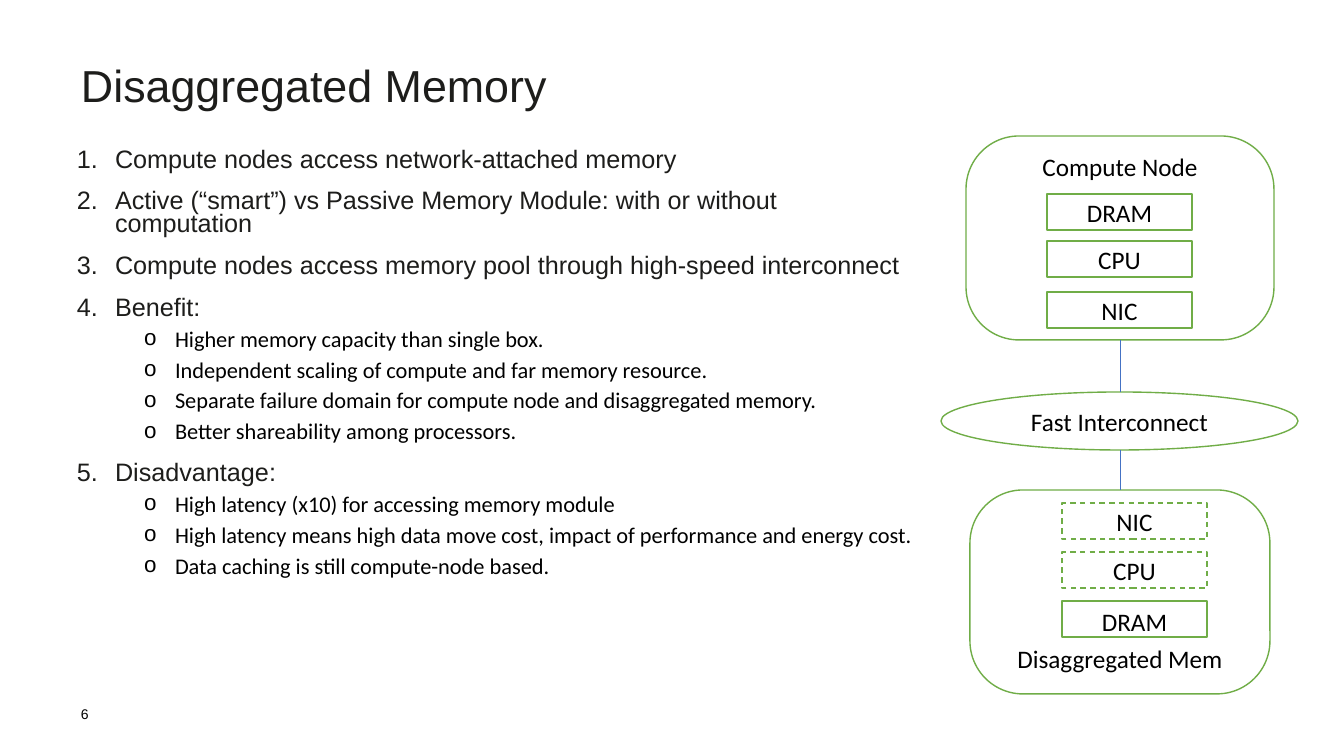
from lxml.etree import SubElement
from pptx import Presentation
from pptx.dml.color import RGBColor
from pptx.enum.dml import MSO_LINE_DASH_STYLE as Dash
from pptx.enum.shapes import MSO_CONNECTOR as Connector, MSO_SHAPE as Shape
from pptx.enum.text import MSO_ANCHOR as Anchor, PP_ALIGN as Align
from pptx.oxml.ns import qn
from pptx.util import Pt

SCALE = 914400 / 100.8
INK, BLACK, WHITE, GREEN, BLUE = "1D1D1B", "000000", "FFFFFF", "70AD47", "4472C4"


def px(length):
    """Turn pixels into EMU."""
    return round(length * SCALE)


def rgb(value):
    """Turn a hex string into a colour."""
    return RGBColor.from_string(value)


def apply(target, values):
    """Set each attribute of a dict of format values."""
    for name, value in values.items():
        setattr(target, name, value)


class Sketch:
    """Hold the style and the current slide."""

    fonts = {
        "title": ({"name": "Arial", "size": Pt(32)}, INK),
        "point": ({"name": "Arial", "size": Pt(18)}, INK),
        "detail": ({"name": "Calibri", "size": Pt(16)}, BLACK),
        "label": ({"name": "Calibri", "size": Pt(18)}, BLACK),
        "number": ({"name": "Arial", "size": Pt(10)}, BLACK),
    }
    lists = {
        "point": ({"level": 0, "line_spacing": 0.76, "space_before": Pt(13.3)},
                  {"marL": 72, "indent": -38}, ("a:buAutoNum", {"type": "arabicPeriod"})),
        "detail": ({"level": 1, "line_spacing": 0.8, "space_before": Pt(6.7)},
                   {"marL": 132, "indent": -31}, ("a:buChar", {"char": "o"})),
    }

    def __init__(self, deck):
        """Add a blank slide to the deck."""
        self.slide = deck.slides.add_slide(deck.slide_layouts[6])

    def add_run(self, paragraph, text, style):
        """Add one run in a named style."""
        run = paragraph.add_run()
        run.text = text
        font, color = self.fonts[style]
        apply(run.font, font)
        run.font.color.rgb = rgb(color)

    def frame(self, place, anchor=Anchor.TOP):
        """Add a wrapping text box without margins."""
        frame = self.slide.shapes.add_textbox(*map(px, place)).text_frame
        apply(frame, {"word_wrap": True, "vertical_anchor": anchor, "margin_left": 0,
                      "margin_right": 0, "margin_top": 0, "margin_bottom": 0})
        return frame

    def text(self, place, text, style, anchor=Anchor.TOP, spacing=1.0):
        """Add a single paragraph of text."""
        paragraph = self.frame(place, anchor).paragraphs[0]
        paragraph.line_spacing = spacing
        self.add_run(paragraph, text, style)

    def outline(self, place, entries):
        """Add numbered points with bulleted details."""
        frame = self.frame(place)
        for index, (style, text) in enumerate(entries):
            paragraph = frame.add_paragraph() if index else frame.paragraphs[0]
            layout, indents, (tag, marker) = self.lists[style]
            apply(paragraph, layout)
            properties = paragraph._p.get_or_add_pPr()
            for name, length in indents.items():
                properties.set(name, str(px(length)))
            tint = SubElement(properties, qn("a:buClr"))
            SubElement(tint, qn("a:srgbClr"), val=self.fonts[style][1])
            SubElement(properties, qn("a:buFont"), typeface="Arial")
            SubElement(properties, qn(tag), **marker)
            self.add_run(paragraph, text, style)

    def box(self, kind, place, text, dash=None, corner=None, **layout):
        """Add a labelled outline shape."""
        shape = self.slide.shapes.add_shape(kind, *map(px, place))
        shape.shadow.inherit = False
        shape.fill.solid()
        shape.fill.fore_color.rgb = rgb(WHITE)
        shape.line.color.rgb = rgb(GREEN)
        apply(shape.line, {"width": Pt(1), "dash_style": dash})
        if corner:
            shape.adjustments[0] = corner
        frame = shape.text_frame
        apply(frame, {"word_wrap": True, "vertical_anchor": Anchor.MIDDLE, **layout})
        frame.paragraphs[0].alignment = Align.CENTER
        self.add_run(frame.paragraphs[0], text, "label")

    def link(self, x, top, bottom):
        """Add a thin vertical line."""
        line = self.slide.shapes.add_connector(
            Connector.STRAIGHT, *map(px, (x, top, x, bottom)))
        line.line.color.rgb = rgb(BLUE)
        line.line.width = Pt(0.5)
        SubElement(line._element.spPr, qn("a:effectLst"))


points = [
    ("Compute nodes access network-attached memory", []),
    ("Active (“smart”) vs Passive Memory Module: with or without computation", []),
    ("Compute nodes access memory pool through high-speed interconnect", []),
    ("Benefit:", [
        "Higher memory capacity than single box.",
        "Independent scaling of compute and far memory resource.",
        "Separate failure domain for compute node and disaggregated memory.",
        "Better shareability among processors.",
    ]),
    ("Disadvantage:", [
        "High latency (x10) for accessing memory module",
        "High latency means high data move cost, impact of performance and energy cost.",
        "Data caching is still compute-node based.",
    ]),
]
entries = []
for point, details in points:
    entries += [("point", point)] + [("detail", detail) for detail in details]

nodes = [
    ("Compute Node", (966, 136, 308, 204), Anchor.TOP, 1047,
     [("DRAM", 194, None, {}), ("CPU", 241, None, {}), ("NIC", 292, None, {})]),
    ("Disaggregated Mem", (970, 490, 300, 204), Anchor.BOTTOM, 1062,
     [("NIC", 503, Dash.DASH, {}), ("CPU", 552, Dash.DASH, {}),
      ("DRAM", 601, None, {"margin_bottom": 0})]),
]

deck = Presentation()
apply(deck, {"slide_width": px(1344), "slide_height": px(756)})
sketch = Sketch(deck)
sketch.text((81, 693, 47, 41), "6", "number", Anchor.MIDDLE)
sketch.text((81, 52, 631, 67), "Disaggregated Memory", "title", spacing=1.1)
sketch.outline((43, 150, 870, 472), entries)
for title, place, anchor, left, parts in nodes:
    sketch.box(Shape.ROUNDED_RECTANGLE, place, title, corner=0.26,
               vertical_anchor=anchor, margin_top=0)
    for part, top, dash, layout in parts:
        sketch.box(Shape.RECTANGLE, (left, top, 145, 36), part, dash, **layout)
sketch.box(Shape.OVAL, (941, 392, 357, 58), "Fast Interconnect")
for top, bottom in [(340, 392), (450, 490)]:
    sketch.link(1120, top, bottom)
deck.save("out.pptx")
